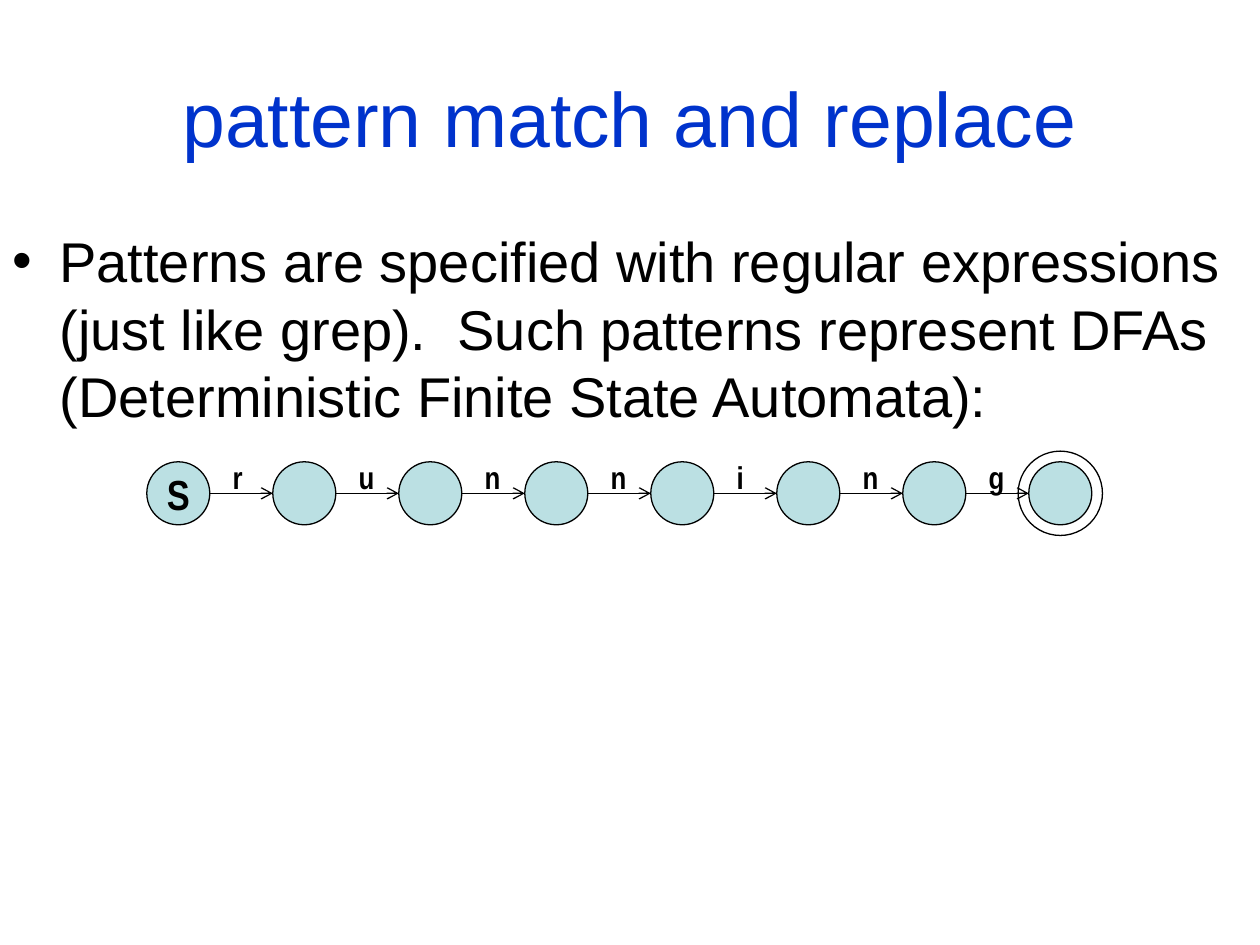
from typing import NamedTuple

from lxml.etree import SubElement
from pptx import Presentation
from pptx.dml.color import RGBColor
from pptx.enum.shapes import MSO_CONNECTOR, MSO_SHAPE
from pptx.enum.text import MSO_ANCHOR, PP_ALIGN
from pptx.oxml.ns import qn
from pptx.util import Cm, Pt

HUES = {"title": "0033CC", "ink": "000000", "state": "BBE0E3"}
WORD = "running"
STEP, SIZE = 2.54, 1.27  # state pitch and diameter, cm
LEFT, TOP = 2.96, 9.31   # first state, cm
RING = 1.7               # accepting ring diameter, cm


class Style(NamedTuple):
    size: int
    font: str = "Arial"
    hue: str = "ink"
    bold: bool = False


class Box(NamedTuple):
    x: float
    y: float
    w: float
    h: float

    def cm(self) -> list:
        return [Cm(v) for v in self]


def color(hue: str) -> RGBColor:
    return RGBColor.from_string(HUES[hue])


def write(shape, text: str, style: Style, align=PP_ALIGN.LEFT, anchor=MSO_ANCHOR.TOP):
    frame = shape.text_frame
    frame.word_wrap = True
    frame.vertical_anchor = anchor
    para = frame.paragraphs[0]
    para.alignment = align
    run = para.add_run()
    run.text = text
    font = run.font
    font.size, font.name, font.bold = Pt(style.size), style.font, style.bold
    font.color.rgb = color(style.hue)
    return para


def add_text(slide, box: Box, text: str, style: Style, **opts):
    return write(slide.shapes.add_textbox(*box.cm()), text, style, **opts)


def add_bullet(para, indent: float) -> None:
    props = para._p.get_or_add_pPr()
    props.set("marL", str(Cm(indent)))
    props.set("indent", str(-Cm(indent)))
    SubElement(props, qn("a:buFont"), typeface="Arial")
    SubElement(props, qn("a:buChar"), char="•")


def add_ring(slide, box: Box, fill: str = ""):
    ring = slide.shapes.add_shape(MSO_SHAPE.OVAL, *box.cm())
    ring.shadow.inherit = False
    if fill:
        ring.fill.solid()
        ring.fill.fore_color.rgb = color(fill)
    else:
        ring.fill.background()
    ring.line.color.rgb = color("ink")
    ring.line.width = Pt(0.75)
    return ring


def add_arrow(slide, x: float, y: float, end: float) -> None:
    line = slide.shapes.add_connector(MSO_CONNECTOR.STRAIGHT, Cm(x), Cm(y), Cm(end), Cm(y))
    line.line.color.rgb = color("ink")
    line.line.width = Pt(0.75)
    SubElement(line.line._get_or_add_ln(), qn("a:tailEnd"), type="arrow")
    SubElement(line._element.spPr, qn("a:effectLst"))


def main() -> None:
    deck = Presentation()
    deck.slide_width, deck.slide_height = Cm(25.4), Cm(19.05)
    slide = deck.slides.add_slide(deck.slide_layouts[6])

    # Title and body
    add_text(slide, Box(1.27, 0.76, 22.86, 3.18), "pattern match and replace",
             Style(44, hue="title"), align=PP_ALIGN.CENTER, anchor=MSO_ANCHOR.MIDDLE)
    body = add_text(slide, Box(0, 4.45, 25.4, 14.6),
                    "Patterns are specified with regular expressions (just like grep).  "
                    "Such patterns represent DFAs (Deterministic Finite State Automata):",
                    Style(32))
    body.space_before = Pt(6.4)
    add_bullet(body, 0.95)

    # Start state
    start = add_ring(slide, Box(LEFT, TOP, SIZE, SIZE), "state")
    frame = start.text_frame
    frame.margin_left = frame.margin_right = frame.margin_top = frame.margin_bottom = 0
    write(start, "S", Style(24, "Arial Narrow", bold=True),
          align=PP_ALIGN.CENTER, anchor=MSO_ANCHOR.MIDDLE)

    # One state, arrow and label per letter
    for i, char in enumerate(WORD):
        x = LEFT + i * STEP
        add_ring(slide, Box(x + STEP, TOP, SIZE, SIZE), "state")
        add_arrow(slide, x + SIZE, TOP + SIZE / 2, x + STEP)
        add_text(slide, Box(x + 1.48, 9.1, 0.64, 0.64), char,
                 Style(18, "Arial Narrow", bold=True))

    # Accepting ring around the last state
    gap = (RING - SIZE) / 2
    add_ring(slide, Box(LEFT + len(WORD) * STEP - gap, TOP - gap, RING, RING))

    deck.save("out.pptx")


if __name__ == "__main__":
    main()
